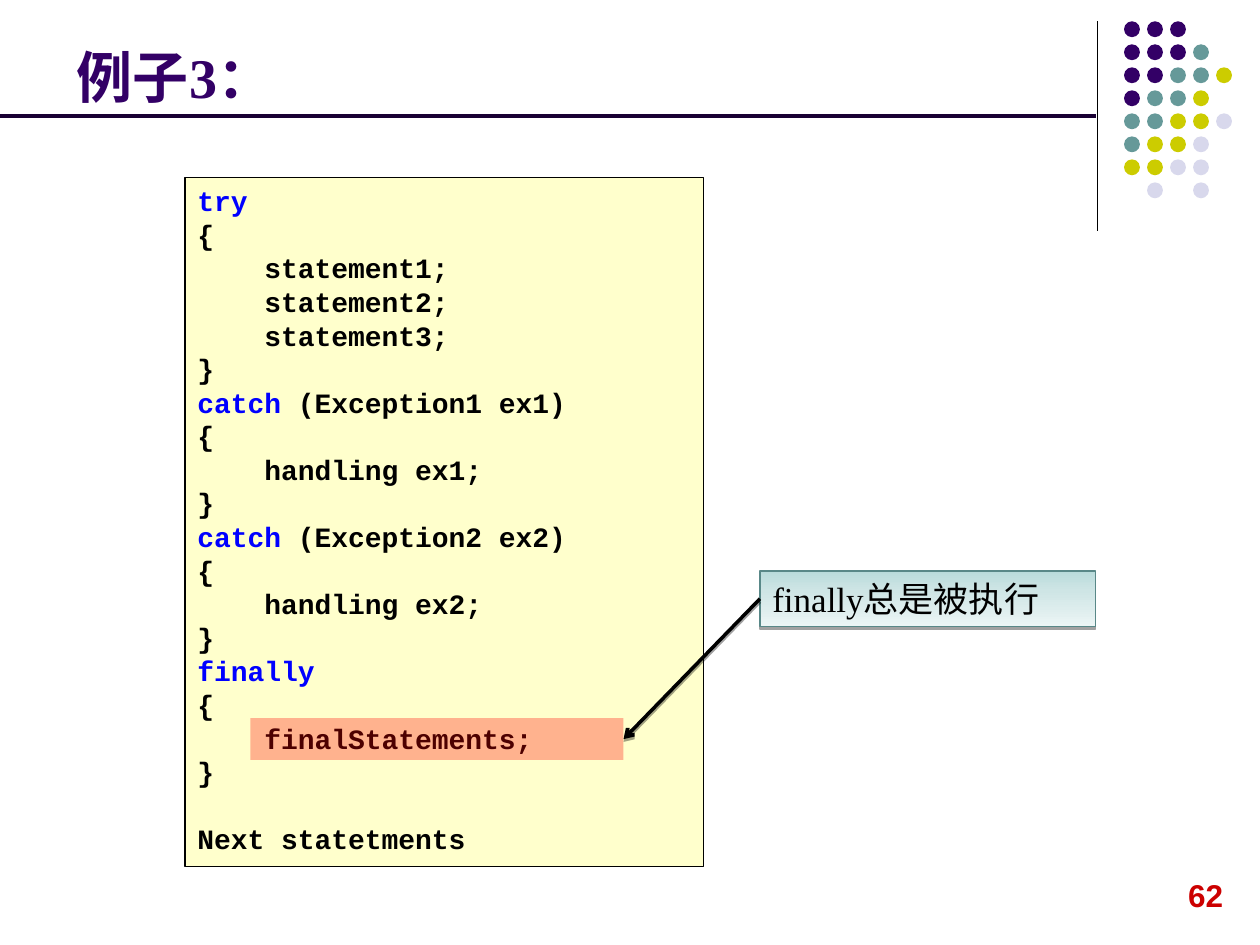
"""Build the slide that explains the finally block with a code example."""
from copy import deepcopy

from lxml import etree
from pptx import Presentation, util as u
from pptx.dml.color import RGBColor as Rgb
from pptx.enum import shapes, text
from pptx.oxml import parse_xml
from pptx.oxml.ns import nsdecls, qn


class Theme:
    ink, key, head, rule, page = "000000", "0000FF", "330066", "190033", "CC0000"
    paper, mark, edge = "FFFFCC", "FF0000", "598888"
    dots = {"P": "330066", "T": "669999", "Y": "CCCC00", "L": "D8D8EC"}
    fade = [(0, "B9DBDB"), (0.35, "CEE5E5"), (1, "ECF5F5")]
    big, note, small, code = 32, 20, 18, 16
    serif, sans, mono = "Times New Roman", "Arial", "Courier New"


SHADE = (f'<a:outerShdw {nsdecls("a")} blurRad="0" dist="20320" dir="5400000" '
         'rotWithShape="0"><a:srgbClr val="000000"><a:alpha val="37000"/>'
         '</a:srgbClr></a:outerShdw>')
CODE = """try
{
    statement1;
    statement2;
    statement3;
}
catch (Exception1 ex1)
{
    handling ex1;
}
catch (Exception2 ex2)
{
    handling ex2;
}
finally
{
    finalStatements;
}

Next statetments"""
DOTS = ["PPP", "PPPT", "PPTTY", "PTTY", "TTYYL", "TYYL", "YYLL", " L L"]


def style(run, size, face, tint, bold=True):
    run.font.size, run.font.name, run.font.bold = u.Pt(size), face, bold
    run.font.color.rgb = Rgb.from_string(tint)


def link(x1, y1, x2, y2, tint, width):
    line = slide.shapes.add_connector(
        shapes.MSO_CONNECTOR.STRAIGHT, u.Cm(x1), u.Cm(y1), u.Cm(x2), u.Cm(y2))
    line.line.color.rgb = Rgb.from_string(tint)
    line.line.width = u.Pt(width)
    etree.SubElement(line._element.spPr, qn("a:effectLst"))
    return line


deck = Presentation()
deck.slide_width, deck.slide_height = u.Cm(25.4), u.Cm(19.05)
slide = deck.slides.add_slide(deck.slide_layouts[6])

link(22.12, 0.43, 22.12, 4.65, Theme.ink, 0.75)
for row, marks in enumerate(DOTS):
    for col, mark in enumerate(marks):
        if mark in Theme.dots:
            dot = slide.shapes.add_shape(
                shapes.MSO_SHAPE.OVAL, u.Cm(22.66 + col * 0.464),
                u.Cm(0.43 + row * 0.464), u.Cm(0.32), u.Cm(0.32))
            dot.shadow.inherit = False
            dot.fill.solid()
            dot.fill.fore_color.rgb = Rgb.from_string(Theme.dots[mark])
            dot.line.fill.background()

page = slide.shapes.add_textbox(u.Cm(23.7), u.Cm(17.53), u.Cm(1.22), u.Cm(1.02))
page.text_frame.text = "62"
page.text_frame.word_wrap = False
style(page.text_frame.paragraphs[0].runs[0], Theme.small, Theme.sans, Theme.page)

title = slide.shapes.add_textbox(u.Cm(1.3), u.Cm(0.53), u.Cm(20.75), u.Cm(1.8))
title.text_frame.text = "例子3："
title.text_frame.word_wrap = True
title.text_frame.vertical_anchor = text.MSO_ANCHOR.BOTTOM
style(title.text_frame.paragraphs[0].runs[0], Theme.big, Theme.serif, Theme.head)

panel, band, note = [
    slide.shapes.add_shape(shapes.MSO_SHAPE.RECTANGLE, *map(u.Cm, place))
    for place in [(3.73, 3.58, 10.46, 13.89), (5.05, 14.48, 7.52, 0.84),
                  (15.32, 11.51, 6.76, 1.12)]]
for box, edge in (panel, Theme.ink), (band, None), (note, Theme.edge):
    box.shadow.inherit = False
    if edge:
        box.line.color.rgb = Rgb.from_string(edge)
        box.line.width = u.Pt(0.75)
    else:
        box.line.fill.background()

panel.fill.solid()
panel.fill.fore_color.rgb = Rgb.from_string(Theme.paper)
frame = panel.text_frame
frame.text = CODE
frame.word_wrap = False
frame.vertical_anchor = text.MSO_ANCHOR.TOP
for para in frame.paragraphs:
    para.alignment = text.PP_ALIGN.LEFT
    word, gap, rest = para.text.partition(" ")
    if word in ("try", "catch", "finally"):
        para.text = word
        style(para.runs[0], Theme.code, Theme.mono, Theme.key)
        if rest:
            tail = para.add_run()
            tail.text = gap + rest
            style(tail, Theme.code, Theme.mono, Theme.ink)
    elif para.runs:
        style(para.runs[0], Theme.code, Theme.mono, Theme.ink)
    else:
        end = etree.SubElement(para._p, qn("a:endParaRPr"), sz=str(Theme.code * 100), b="1")
        etree.SubElement(end, qn("a:latin"), typeface=Theme.mono)

band.fill.solid()
band.fill.fore_color.rgb = Rgb.from_string(Theme.mark)
tint = band._element.spPr.find(qn("a:solidFill"))[0]
etree.SubElement(tint, qn("a:alpha"), val="30000")

note.fill.gradient()
note.fill.gradient_angle = 270
stops = note._element.spPr.find(qn("a:gradFill")).find(qn("a:gsLst"))
stops.insert(1, deepcopy(stops[0]))
for stop, (place, tint) in zip(note.fill.gradient_stops, Theme.fade):
    stop.position = place
    stop.color.rgb = Rgb.from_string(tint)
note.text_frame.text = "finally总是被执行"
note.text_frame.word_wrap = True
note.text_frame.vertical_anchor = text.MSO_ANCHOR.TOP
note.text_frame.paragraphs[0].alignment = text.PP_ALIGN.LEFT
style(note.text_frame.paragraphs[0].runs[0], Theme.note, Theme.serif, Theme.ink, False)

arrow = link(15.32, 12.07, 12.57, 14.9, Theme.ink, 2)
arrow.begin_connect(note, 1)
arrow.end_connect(band, 3)
etree.SubElement(arrow._element.spPr.find(qn("a:ln")), qn("a:tailEnd"), type="arrow")
for item in note, arrow:
    item._element.spPr.find(qn("a:effectLst")).append(parse_xml(SHADE))

link(0, 2.34, 22.1, 2.34, Theme.rule, 2.25)
deck.save("out.pptx")
